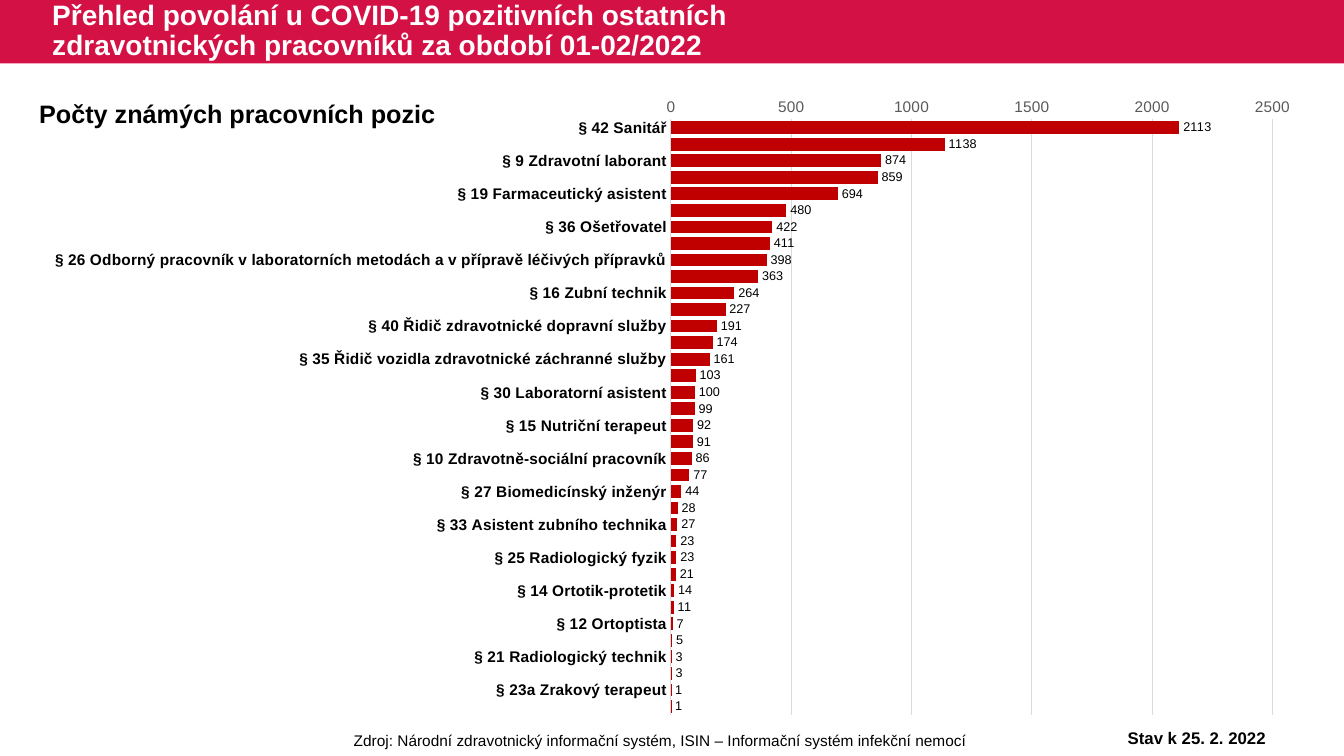
from dataclasses import dataclass

from pptx import Presentation, util as u
from pptx.chart.data import CategoryChartData
from pptx.dml.color import RGBColor
from pptx.enum import chart as charts, shapes, text
from pptx.oxml import parse_xml
from pptx.oxml.ns import nsdecls, qn

TITLE = ("Přehled povolání u COVID-19 pozitivních ostatních "
         "zdravotnických pracovníků za období 01-02/2022")
SUBTITLE = "Počty známých pracovních pozic"
SOURCE = "Zdroj: Národní zdravotnický informační systém, ISIN – Informační systém infekční nemocí"
STATUS = "Stav k 25. 2. 2022"
POSITIONS = [
    ("§ 42 Sanitář", 2113),
    ("§ 24 Fyzioterapeut", 1138),
    ("§ 9 Zdravotní laborant", 874),
    ("farmaceut", 859),
    ("§ 19 Farmaceutický asistent", 694),
    ("§ 18 Zdravotnický záchranář", 480),
    ("§ 36 Ošetřovatel", 422),
    ("§ 39 Zubní instrumentářka", 411),
    ("§ 26 Odborný pracovník v laboratorních metodách a v přípravě léčivých přípravků", 398),
    ("§ 8 Radiologický asistent", 363),
    ("§ 16 Zubní technik", 264),
    ("§ 22 Psycholog ve zdravotnictví", 227),
    ("§ 40 Řidič zdravotnické dopravní služby", 191),
    ("§ 17 Dentální hygienistka", 174),
    ("§ 35 Řidič vozidla zdravotnické záchranné služby", 161),
    ("§ 7 Ergoterapeut", 103),
    ("§ 30 Laboratorní asistent", 100),
    ("§ 37 Masér ve zdravotnictví, nevidomý a slabozraký masér ve zdravotnictví", 99),
    ("§ 15 Nutriční terapeut", 92),
    ("§ 23 Logoped ve zdravotnictví", 91),
    ("§ 10 Zdravotně-sociální pracovník", 86),
    ("§ 11 Optometrista", 77),
    ("§ 27 Biomedicínský inženýr", 44),
    ("§ 28 Odborný pracovník v ochraně a podpoře veřejného zdraví", 28),
    ("§ 33 Asistent zubního technika", 27),
    ("§ 13 Asistent ochrany a podpory veřejného zdraví", 23),
    ("§ 25 Radiologický fyzik", 23),
    ("§ 21a Adiktolog", 21),
    ("§ 14 Ortotik-protetik", 14),
    ("§ 20 Biomedicínský technik", 11),
    ("§ 12 Ortoptista", 7),
    ("§ 31 Ortoticko-protetický technik", 5),
    ("§ 21 Radiologický technik", 3),
    ("§ 32 Nutriční asistent", 3),
    ("§ 23a Zrakový terapeut", 1),
    ("§ 41 Autoptický laborant", 1),
]


@dataclass(frozen=True)
class Theme:
    font: str = "Arial"
    band: str = "D31145"
    bar: str = "C00000"
    ink: str = "000000"
    paper: str = "FFFFFF"
    muted: str = "595959"
    grid: str = "D9D9D9"
    title: int = 20
    subtitle: int = 18
    status: int = 12
    small: int = 11
    value: int = 9


THEME = Theme()
WIDTH, HEIGHT = 13.33, 7.5
BAND = 0.63
PLOT = {"x": 0.51, "y": 0.06, "w": 0.46, "h": 0.92}  # shares of the chart frame


def color(code):
    return RGBColor.from_string(code)


def set_font(font, size, ink=THEME.ink, bold=False):
    font.name, font.size, font.bold = THEME.font, u.Pt(size), bold
    font.color.rgb = color(ink)


def add_text(page, words, place, size, ink=THEME.ink, bold=False, align=text.PP_ALIGN.LEFT,
             anchor=text.MSO_ANCHOR.TOP, wrap=True, spacing=1.0):
    frame = page.shapes.add_textbox(*map(u.Inches, place)).text_frame
    frame.word_wrap, frame.vertical_anchor = wrap, anchor
    para = frame.paragraphs[0]
    para.alignment, para.line_spacing = align, spacing
    span = para.add_run()
    span.text = words
    set_font(span.font, size, ink, bold)


def fix_plot_area(chart):
    """Pin the inner plot area to its shares of the frame."""
    area = chart.element.find(".//" + qn("c:plotArea"))
    for old in area.findall(qn("c:layout")):
        area.remove(old)
    modes = "".join(f'<c:{key}Mode val="edge"/>' for key in "xy")
    shares = "".join(f'<c:{key} val="{share}"/>' for key, share in PLOT.items())
    area.insert(0, parse_xml(
        f'<c:layout {nsdecls("c")}><c:manualLayout><c:layoutTarget val="inner"/>'
        f"{modes}{shares}</c:manualLayout></c:layout>"))


def style_axes(chart):
    names, values = chart.category_axis, chart.value_axis
    for axis, ink, bold in ((names, THEME.ink, True), (values, THEME.muted, False)):
        axis.major_tick_mark = axis.minor_tick_mark = charts.XL_TICK_MARK.NONE
        set_font(axis.tick_labels.font, THEME.small, ink, bold)
    names.reverse_order = True
    names.has_major_gridlines = False
    values.has_major_gridlines = True
    values.minimum_scale, values.maximum_scale, values.major_unit = 0, 2500, 500
    values.format.line.fill.background()
    for line in (names.format.line, values.major_gridlines.format.line):
        line.color.rgb, line.width = color(THEME.grid), u.Pt(0.75)


def add_positions_chart(page, place):
    data = CategoryChartData()
    data.categories = [name for name, count in POSITIONS]
    data.add_series("Počet", [count for name, count in POSITIONS])
    chart = page.shapes.add_chart(
        charts.XL_CHART_TYPE.BAR_CLUSTERED, *map(u.Inches, place), data).chart
    chart.has_legend = chart.has_title = False
    set_font(chart.font, 10)
    style_axes(chart)
    fix_plot_area(chart)
    plot = chart.plots[0]
    plot.gap_width, plot.overlap, plot.vary_by_categories = 30, 100, False
    fill = plot.series[0].format.fill
    fill.solid()
    fill.fore_color.rgb = color(THEME.bar)
    plot.has_data_labels = True
    labels = plot.data_labels
    labels.show_value = True
    labels.position = charts.XL_LABEL_POSITION.OUTSIDE_END
    set_font(labels.font, THEME.value)


def main():
    deck = Presentation()
    deck.slide_width, deck.slide_height = u.Inches(WIDTH), u.Inches(HEIGHT)
    page = deck.slides.add_slide(deck.slide_layouts[6])

    band = page.shapes.add_shape(
        shapes.MSO_SHAPE.RECTANGLE, 0, 0, deck.slide_width, u.Inches(BAND))
    band.shadow.inherit = False
    band.fill.solid()
    band.fill.fore_color.rgb = color(THEME.band)
    band.line.fill.background()

    add_positions_chart(page, (0.04, 0.8, 12.97, 6.42))
    center = text.PP_ALIGN.CENTER
    add_text(page, SOURCE, (2.36, 7.2, 8.38, 0.29), THEME.small, align=center)
    add_text(page, TITLE, (0.42, 0, 8.26, BAND), THEME.title, THEME.paper, bold=True,
             anchor=text.MSO_ANCHOR.MIDDLE, spacing=0.9)
    add_text(page, SUBTITLE, (0.29, 0.93, 4.16, 0.4), THEME.subtitle, bold=True, wrap=False)
    add_text(page, STATUS, (10.77, 7.17, 2.2, 0.3), THEME.status, bold=True, align=center)
    deck.save("out.pptx")


if __name__ == "__main__":
    main()
